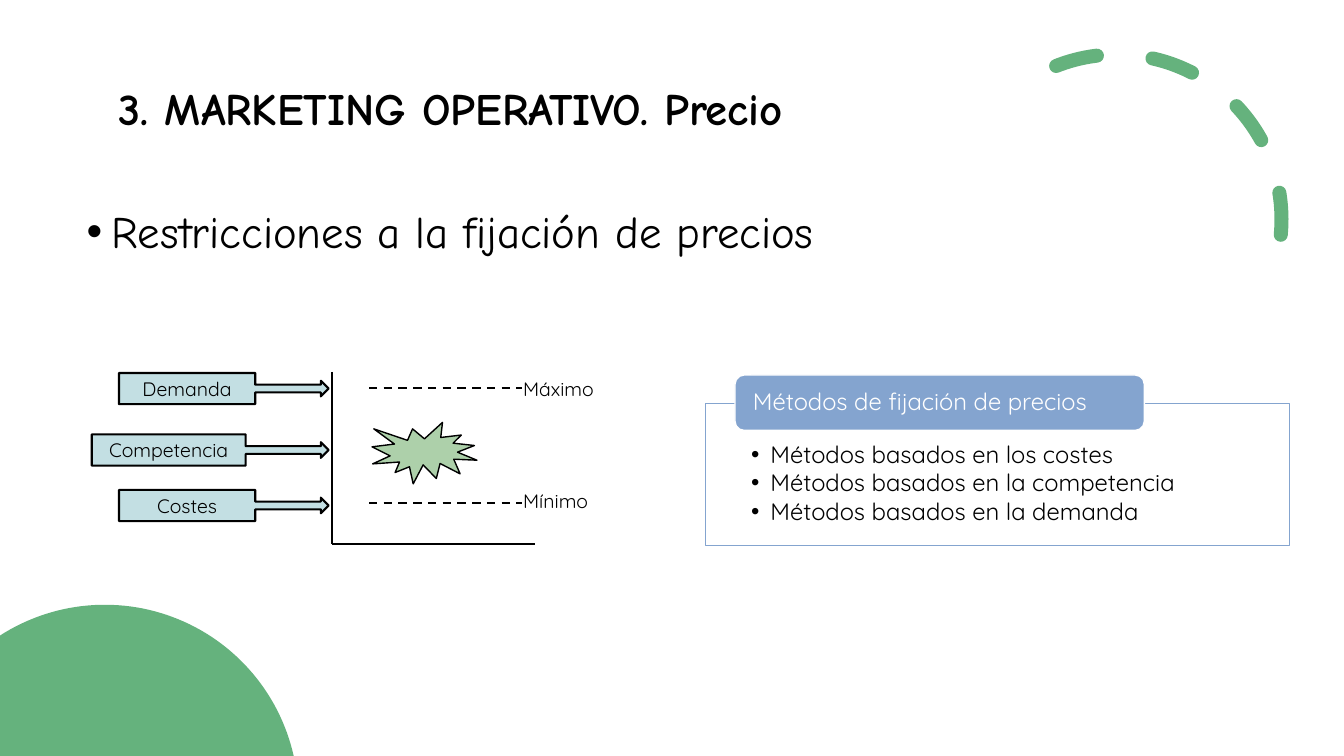
from math import acos, asin, cos, pi, sin
from lxml.etree import SubElement
from pptx import Presentation
from pptx.dml.color import RGBColor
from pptx.enum.dml import MSO_LINE
from pptx.enum.shapes import MSO_CONNECTOR, MSO_SHAPE
from pptx.enum.text import MSO_ANCHOR, PP_ALIGN
from pptx.oxml.ns import qn
from pptx.util import Inches, Pt

TITLE = "3. MARKETING OPERATIVO. Precio"
TOPIC = "Restricciones a la fijación de precios"
FORCES = [("Demanda", 1.18, 3.7), ("Competencia", 0.91, 4.31), ("Costes", 1.18, 4.86)]
LIMITS = [("Máximo", 3.85, 3.69), ("Mínimo", 4.99, 4.8)]
HEAD = "Métodos de fijación de precios"
METHODS = ["Métodos basados en los costes",
           "Métodos basados en la competencia",
           "Métodos basados en la demanda"]

GREEN, LEAF, AQUA, BLUE = "65B27D", "ADD0AA", "C3DFE3", "84A4CF"
BLACK, WHITE = "000000", "FFFFFF"
HAND, SANS = "Comic Neue", "Quicksand"
TIP = 3.26  # right end of the force arrows
AXIS, BASE = 3.29, 5.4

deck = Presentation()
deck.slide_width, deck.slide_height = Inches(13.33), Inches(7.5)
slide = deck.slides.add_slide(deck.slide_layouts[6])
shapes = slide.shapes


def tint(color, code):
    color.rgb = RGBColor.from_string(code)


def style(shape, fill=None, line=None, width=1):
    shape.shadow.inherit = False
    if fill:
        shape.fill.solid()
        tint(shape.fill.fore_color, fill)
    else:
        shape.fill.background()
    if line:
        tint(shape.line.color, line)
        shape.line.width = Pt(width)
    else:
        shape.line.fill.background()
    return shape


def draw(kind, x, y, w, h, *look):
    shape = shapes.add_shape(kind, Inches(x), Inches(y), Inches(w), Inches(h))
    return style(shape, *look)


def write(shape, lines, size, face, code=BLACK, bold=False, spacing=1, after=0,
          bullet=0, align=PP_ALIGN.LEFT, anchor=MSO_ANCHOR.TOP, inset=(0.1, 0.05)):
    """Fill a shape with paragraphs; bullet is the hanging indent in inches."""
    frame = shape.text_frame
    frame.word_wrap = True
    frame.vertical_anchor = anchor
    frame.margin_left = frame.margin_right = Inches(inset[0])
    frame.margin_top = frame.margin_bottom = Inches(inset[1])
    frame.text = "\n".join(lines)
    for para in frame.paragraphs:
        para.alignment, para.line_spacing = align, spacing
        para.space_after = Pt(after)
        if bullet:
            props = para._p.get_or_add_pPr()
            props.set("marL", str(Inches(bullet)))
            props.set("indent", str(-Inches(bullet)))
            SubElement(props, qn("a:buFont"), typeface="Arial")
            SubElement(props, qn("a:buChar"), char="•")
        for run in para.runs:
            run.font.size, run.font.name, run.font.bold = Pt(size), face, bold
            tint(run.font.color, code)


def text(x, y, w, h, *args, **opts):
    box = shapes.add_textbox(Inches(x), Inches(y), Inches(w), Inches(h))
    write(box, *args, **opts)


def rule(x1, y1, x2, y2, dash=None):
    line = shapes.add_connector(MSO_CONNECTOR.STRAIGHT, Inches(x1), Inches(y1),
                                Inches(x2), Inches(y2))
    tint(line.line.color, BLACK)
    line.line.width = Pt(1.5)
    if dash:
        line.line.dash_style = dash
    SubElement(line._element.spPr, qn("a:effectLst"))


def disc(cx, cy, r, steps=60):
    """Draw the part of a circle that lies inside the bottom left corner."""
    start, end = acos(-cx / r), asin((cy - 7.5) / r)
    turns = [start + (end - start) * i / steps for i in range(steps + 1)]
    rim = [(Inches(cx + r * cos(t)), Inches(cy - r * sin(t))) for t in turns]
    pen = shapes.build_freeform(0, Inches(7.5))
    pen.add_line_segments(rim, close=True)
    style(pen.convert_to_shape(), GREEN)


# Decoration
arc = draw(MSO_SHAPE.ARC, 9.44, 0.54, 3.27, 3.27, None, GREEN, 10)
arc.adjustments[0], arc.adjustments[1] = 144.418, 0
arc.rotation = 66.1
arc._element.spPr.find(qn("a:xfrm")).set("flipH", "1")
arc.line.dash_style = MSO_LINE.DASH
arc.line._ln.set("cap", "rnd")
disc(1.04, 7.92, 1.92)

# Headings
text(1.08, 0.38, 11.23, 1.45, [TITLE], 32, HAND, bold=True, spacing=0.9,
     anchor=MSO_ANCHOR.MIDDLE)
text(0.76, 2.03, 10.61, 0.7, [TOPIC], 32, HAND, spacing=0.9, bullet=0.25)

# Price range
rule(AXIS, 3.69, AXIS, BASE)
rule(AXIS, BASE, 5.31, BASE)
for label, level, top in LIMITS:
    rule(3.66, level, 5.18, level, MSO_LINE.DASH)
    text(5.09, top, 1.04, 0.31, [label], 13.9, SANS)
for force, left, top in FORCES:
    box = draw(MSO_SHAPE.RIGHT_ARROW_CALLOUT, left, top, TIP - left, 0.31,
               AQUA, BLACK, 1.5)
    write(box, [force], 13.9, SANS, align=PP_ALIGN.CENTER, anchor=MSO_ANCHOR.MIDDLE)
draw(MSO_SHAPE.EXPLOSION1, 3.69, 4.19, 1.04, 0.61, LEAF, BLACK, 1)

# Pricing methods
panel = draw(MSO_SHAPE.RECTANGLE, 7, 4, 5.79, 1.41, WHITE, BLUE, 1)
write(panel, METHODS, 17, SANS, spacing=0.9, after=2, bullet=0.19, inset=(0.45, 0.39))
panel.text_frame.margin_bottom = Inches(0.13)
tab = draw(MSO_SHAPE.ROUNDED_RECTANGLE, 7.29, 3.72, 4.06, 0.55, BLUE, WHITE, 1)
write(tab, [HEAD], 17, SANS, WHITE, spacing=0.9, anchor=MSO_ANCHOR.MIDDLE,
      inset=(0.15, 0))

deck.save("out.pptx")
